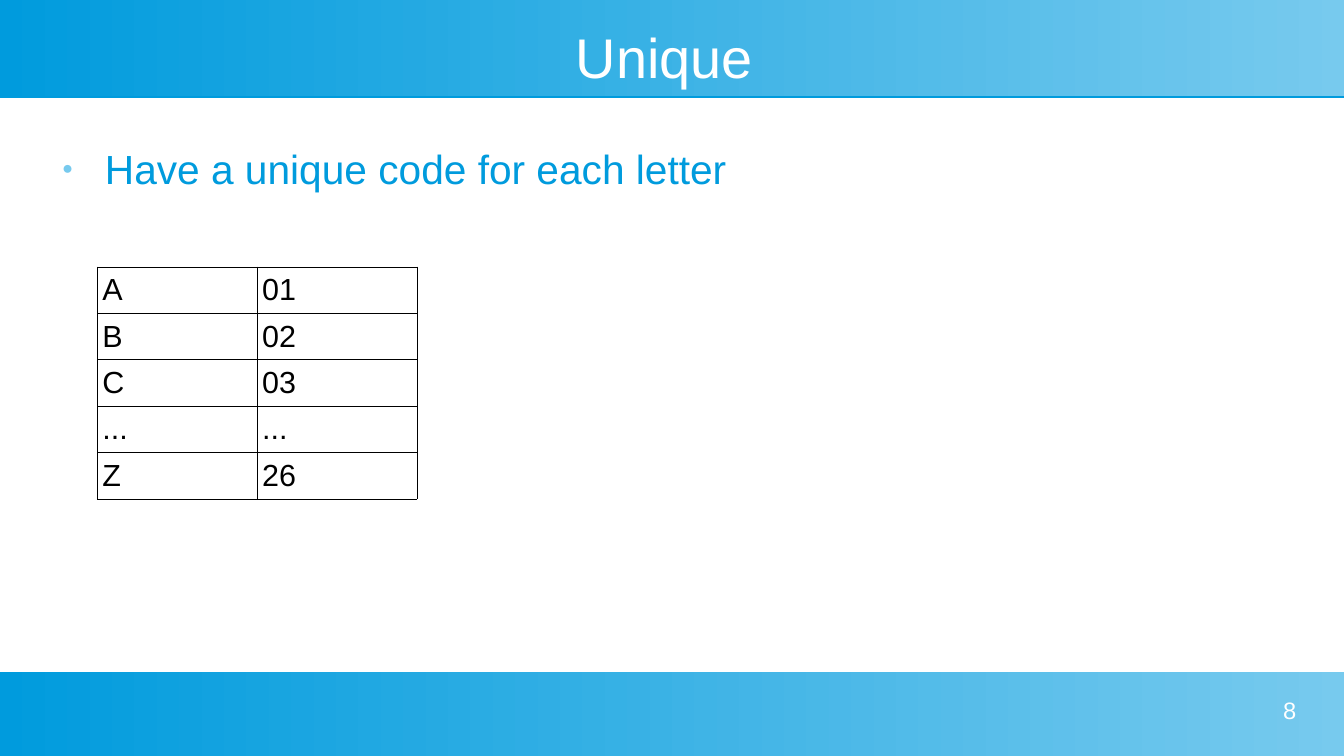
from lxml import etree
from pptx import Presentation
from pptx.dml.color import RGBColor
from pptx.enum.shapes import MSO_SHAPE
from pptx.enum.text import MSO_ANCHOR, MSO_AUTO_SIZE, PP_ALIGN
from pptx.oxml import parse_xml
from pptx.oxml.ns import nsdecls, qn
from pptx.util import Inches, Pt

RECTANGLE = MSO_SHAPE.RECTANGLE
TOP, MIDDLE = MSO_ANCHOR.TOP, MSO_ANCHOR.MIDDLE
LEFT, CENTER, RIGHT = PP_ALIGN.LEFT, PP_ALIGN.CENTER, PP_ALIGN.RIGHT
NO_AUTOFIT = MSO_AUTO_SIZE.NONE

WIDTH, HEIGHT = 11.02, 6.2
MARGIN, CONTENT_WIDTH = 0.39, 10.24
BLUE, LIGHT_BLUE = "009BDD", "77CAEE"
WHITE, BLACK = "FFFFFF", "000000"


def rgb(hex_color):
    return RGBColor.from_string(hex_color)


class CodeSlide:
    font = "Arial"

    def __init__(self, prs):
        self.slide = prs.slides.add_slide(prs.slide_layouts[1])
        self.shapes = self.slide.shapes

    def add_text(self, paragraph, text, size, color, align=LEFT):
        paragraph.alignment = align
        paragraph.space_before = Pt(0)
        run = paragraph.add_run()
        run.text = text
        run.font.name = self.font
        run.font.size = Pt(size)
        run.font.color.rgb = rgb(color)

    def frame(self, shape, left, top, width, height, anchor=TOP):
        """Place a text shape without insets and return its first paragraph."""
        shape.left, shape.top = Inches(left), Inches(top)
        shape.width, shape.height = Inches(width), Inches(height)
        text = shape.text_frame
        text.margin_left = text.margin_right = Inches(0)
        text.margin_top = text.margin_bottom = Inches(0)
        text.word_wrap = True
        text.auto_size = NO_AUTOFIT
        text.vertical_anchor = anchor
        return text.paragraphs[0]

    def band(self, top, height):
        """Gradient band across the slide, behind the title."""
        band = self.shapes.add_shape(
            RECTANGLE, Inches(0), Inches(top), Inches(WIDTH), Inches(height))
        band.fill.gradient()
        band.fill.gradient_angle = 0
        for stop, color in zip(band.fill.gradient_stops, (BLUE, LIGHT_BLUE)):
            stop.color.rgb = rgb(color)
        band.line.fill.background()
        band.shadow.inherit = False
        effects = band.element.spPr.find(qn("a:effectLst"))
        effects.append(parse_xml(
            f'<a:outerShdw {nsdecls("a")} dist="{Pt(0.9)}" dir="5400000">'
            f'<a:srgbClr val="{BLUE}"/></a:outerShdw>'))
        self.shapes.title.element.addprevious(band.element)

    def title(self, text):
        heading = self.frame(self.shapes.title, MARGIN, 0.2, CONTENT_WIDTH, 0.52, MIDDLE)
        self.add_text(heading, text, 33, WHITE, CENTER)

    def bullet(self, text):
        point = self.frame(self.slide.placeholders[1], MARGIN, 1.18, CONTENT_WIDTH, 3.94)
        props = point._p.get_or_add_pPr()
        props.set("marL", str(Inches(0.47)))
        props.set("indent", str(Inches(-0.35)))
        color = etree.SubElement(props, qn("a:buClr"))
        etree.SubElement(color, qn("a:srgbClr"), val=LIGHT_BLUE)
        etree.SubElement(props, qn("a:buSzPct"), val="45000")
        etree.SubElement(props, qn("a:buChar"), char="●")
        self.add_text(point, text, 24, BLUE)

    def cell(self, cell, text):
        cell.margin_left = cell.margin_right = Inches(0.04)
        cell.margin_top = cell.margin_bottom = Inches(0.05)
        props = cell._tc.get_or_add_tcPr()
        for side in ("lnL", "lnR", "lnT", "lnB"):
            props.append(parse_xml(
                f'<a:{side} {nsdecls("a")} w="{Pt(0.57)}"><a:solidFill>'
                f'<a:srgbClr val="{BLACK}"/></a:solidFill></a:{side}>'))
        cell.fill.background()
        self.add_text(cell.text_frame.paragraphs[0], text, 18, BLACK)

    def table(self, rows, left, top, column_width, row_height):
        columns = len(rows[0])
        table = self.shapes.add_table(
            len(rows), columns, Inches(left), Inches(top),
            Inches(column_width * columns), Inches(row_height * len(rows))).table
        table.first_row = table.horz_banding = False
        for row, texts in enumerate(rows):
            for column, text in enumerate(texts):
                self.cell(table.cell(row, column), text)

    def page_number(self, number):
        box = self.shapes.add_textbox(0, 0, 0, 0)
        self.add_text(self.frame(box, 8.07, 5.71, 2.56, 0.39), number, 14, WHITE, RIGHT)


def main():
    prs = Presentation()
    prs.slide_width, prs.slide_height = Inches(WIDTH), Inches(HEIGHT)
    slide = CodeSlide(prs)
    slide.band(0, 0.79)
    slide.band(5.51, 0.69)
    slide.title("Unique ")
    slide.bullet("Have a unique code for each letter")
    letter_codes = [("A", "01"), ("B", "02"), ("C", "03"), ("...", "..."), ("Z", "26")]
    slide.table(letter_codes, 0.8, 2.19, 1.31, 0.37)
    slide.page_number("8")
    prs.save("out.pptx")


if __name__ == "__main__":
    main()
